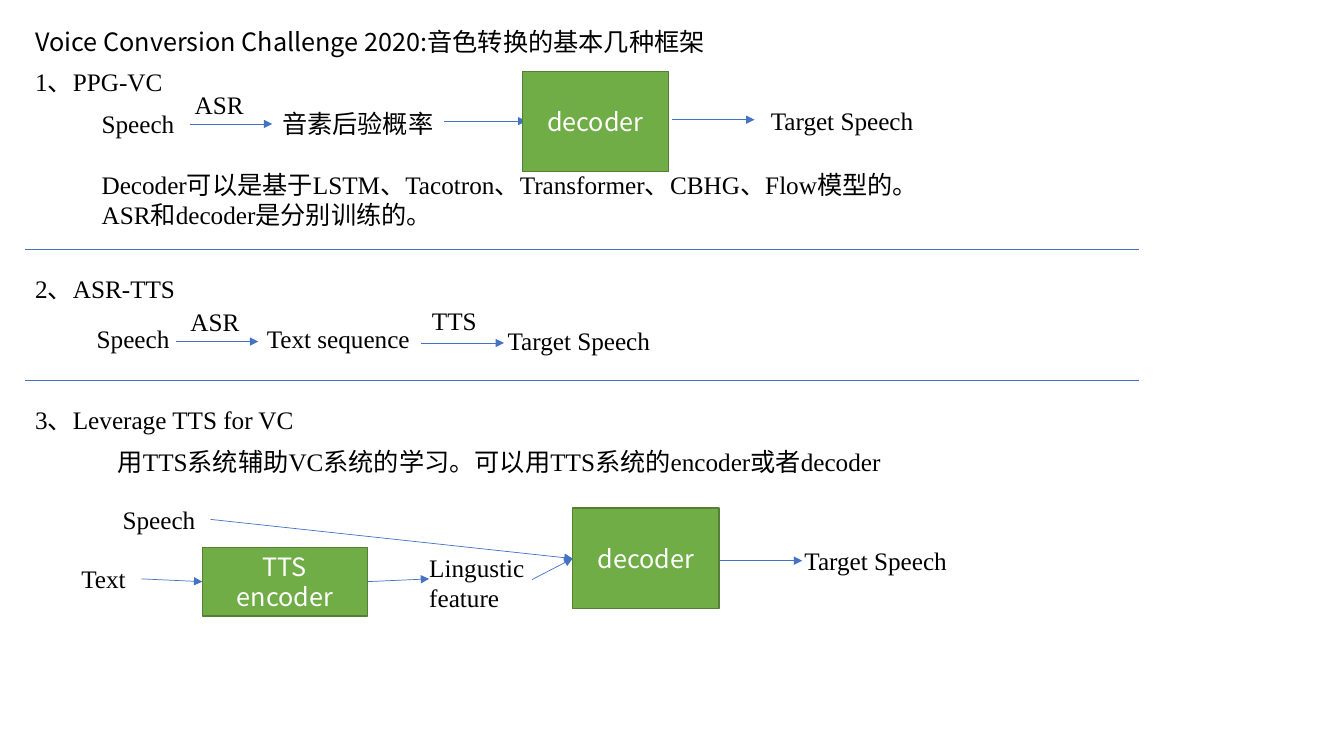
import pptx
import pptx.dml.color
import pptx.enum.shapes
import pptx.enum.text
import pptx.oxml.ns
import pptx.util
from lxml import etree

Pt = pptx.util.Pt
SANS, SERIF = "Noto Sans CJK SC", "Times New Roman"
BLACK, WHITE, BLUE = "000000", "FFFFFF", "4472C4"
GREEN, DARK_GREEN = "70AD47", "538035"


def colour(value):
    return pptx.dml.color.RGBColor.from_string(value)


def add_xml(parent, tag, **attributes):
    return etree.SubElement(parent, pptx.oxml.ns.qn(tag), **attributes)


class Diagram:
    """Style and current slide; all lengths are in points."""

    def __init__(self, slide):
        self.slide = slide
        self.size = Pt(18)
        self.frame_format = {
            "word_wrap": True,
            "margin_left": Pt(7.2), "margin_right": Pt(7.2),
            "margin_top": Pt(3.6), "margin_bottom": Pt(3.6),
        }

    def set_text(self, shape, lines, font, text_colour, anchor, alignment):
        frame = shape.text_frame
        for name, value in {**self.frame_format, "vertical_anchor": anchor}.items():
            setattr(frame, name, value)
        frame.text = lines
        for paragraph in frame.paragraphs:
            for name, value in {"alignment": alignment, "line_spacing": 1.0,
                                "space_before": Pt(0)}.items():
                setattr(paragraph, name, value)
            for run in paragraph.runs:
                for name, value in {"size": self.size, "name": font}.items():
                    setattr(run.font, name, value)
                run.font.color.rgb = colour(text_colour)
                add_xml(run.font._element, "a:ea", typeface=SANS)

    def set_label_text(self, shape, lines, font):
        self.set_text(shape, lines, font, BLACK, pptx.enum.text.MSO_ANCHOR.TOP,
                      pptx.enum.text.PP_ALIGN.LEFT)

    def title(self, text, left, top, width, height):
        shape = self.slide.shapes.title
        for name, value in {"left": left, "top": top, "width": width, "height": height}.items():
            setattr(shape, name, Pt(value))
        self.set_label_text(shape, text, SANS)

    def label(self, text, left, top, width, height=29):
        shape = self.slide.shapes.add_textbox(Pt(left), Pt(top), Pt(width), Pt(height))
        self.set_label_text(shape, text, SERIF)

    def box(self, text, left, top, width=104.5, height=71.5):
        shape = self.slide.shapes.add_shape(
            pptx.enum.shapes.MSO_SHAPE.RECTANGLE, Pt(left), Pt(top), Pt(width), Pt(height))
        shape.shadow.inherit = False
        shape.fill.solid()
        shape.fill.fore_color.rgb = colour(GREEN)
        shape.line.color.rgb = colour(DARK_GREEN)
        shape.line.width = Pt(1)
        self.set_text(shape, text, SANS, WHITE, pptx.enum.text.MSO_ANCHOR.MIDDLE,
                      pptx.enum.text.PP_ALIGN.CENTER)

    def line(self, x1, y1, x2, y2):
        connector = self.slide.shapes.add_connector(
            pptx.enum.shapes.MSO_CONNECTOR.STRAIGHT, Pt(x1), Pt(y1), Pt(x2), Pt(y2))
        connector.line.color.rgb = colour(BLUE)
        connector.line.width = Pt(0.5)
        add_xml(connector._element.spPr, "a:effectLst")
        return connector

    def arrow(self, x1, y1, x2, y2):
        connector = self.line(x1, y1, x2, y2)
        outline = connector._element.spPr.find(pptx.oxml.ns.qn("a:ln"))
        add_xml(outline, "a:tailEnd", type="triangle")

    def step(self, left, y):
        self.arrow(left, y, left + 59, y)


def main():
    presentation = pptx.Presentation()
    presentation.slide_width, presentation.slide_height = Pt(960), Pt(540)
    slide = presentation.slides.add_slide(presentation.slide_layouts[5])
    diagram = Diagram(slide)
    diagram.title("Voice Conversion Challenge 2020:音色转换的基本几种框架", 18, 15, 660, 29)

    # Section headings and dividers
    for heading, top, width in (("1、PPG-VC", 44, 124), ("2、ASR-TTS", 192, 124),
                                ("3、Leverage TTS for VC", 285, 305)):
        diagram.label(heading, 18, top, width)
    for y in (178, 271.5):
        diagram.line(18, y, 813.5, y)

    # PPG-VC
    for text, left, top, width in (("Speech", 65.5, 74, 70), ("ASR", 132, 60, 53),
                                   ("音素后验概率", 194.5, 73.5, 136),
                                   ("Target Speech", 543.5, 71.5, 165)):
        diagram.label(text, left, top, width)
    for left, y in ((135.5, 88.5), (317, 86.5), (480, 85.5)):
        diagram.step(left, y)
    diagram.box("decoder", 373, 51)
    diagram.label("Decoder可以是基于LSTM、Tacotron、Transformer、CBHG、Flow模型的。\n"
                  "ASR和decoder是分别训练的。", 65.5, 117.5, 695, 51)

    # ASR-TTS
    for text, left, top, width in (("Speech", 62, 227.5, 70), ("ASR", 129, 215.5, 58),
                                   ("Text sequence", 183.5, 227.5, 117),
                                   ("TTS", 301.5, 214.5, 58),
                                   ("Target Speech", 355.5, 229, 165)):
        diagram.label(text, left, top, width)
    for left, y in ((125.5, 244), (301, 245)):
        diagram.step(left, y)

    # Leverage TTS for VC
    diagram.label("用TTS系统辅助VC系统的学习。可以用TTS系统的encoder或者decoder", 77, 315.5, 583)
    for text, left, top, width in (("Speech", 80.5, 356.5, 70), ("Text", 51, 399, 50),
                                   ("Target Speech", 567.5, 386, 165)):
        diagram.label(text, left, top, width)
    diagram.label("Lingustic feature", 299.5, 391, 104.5, 51)
    diagram.box("TTS encoder", 144.5, 391, 118, 49)
    diagram.box("decoder", 409, 363)
    for ends in ((101, 413.5, 144.5, 415.5), (262, 415.5, 306.5, 413.5),
                 (150.5, 371, 409, 399), (380, 414, 409, 399)):
        diagram.arrow(*ends)
    diagram.step(514, 400.5)

    presentation.save("out.pptx")


if __name__ == "__main__":
    main()
